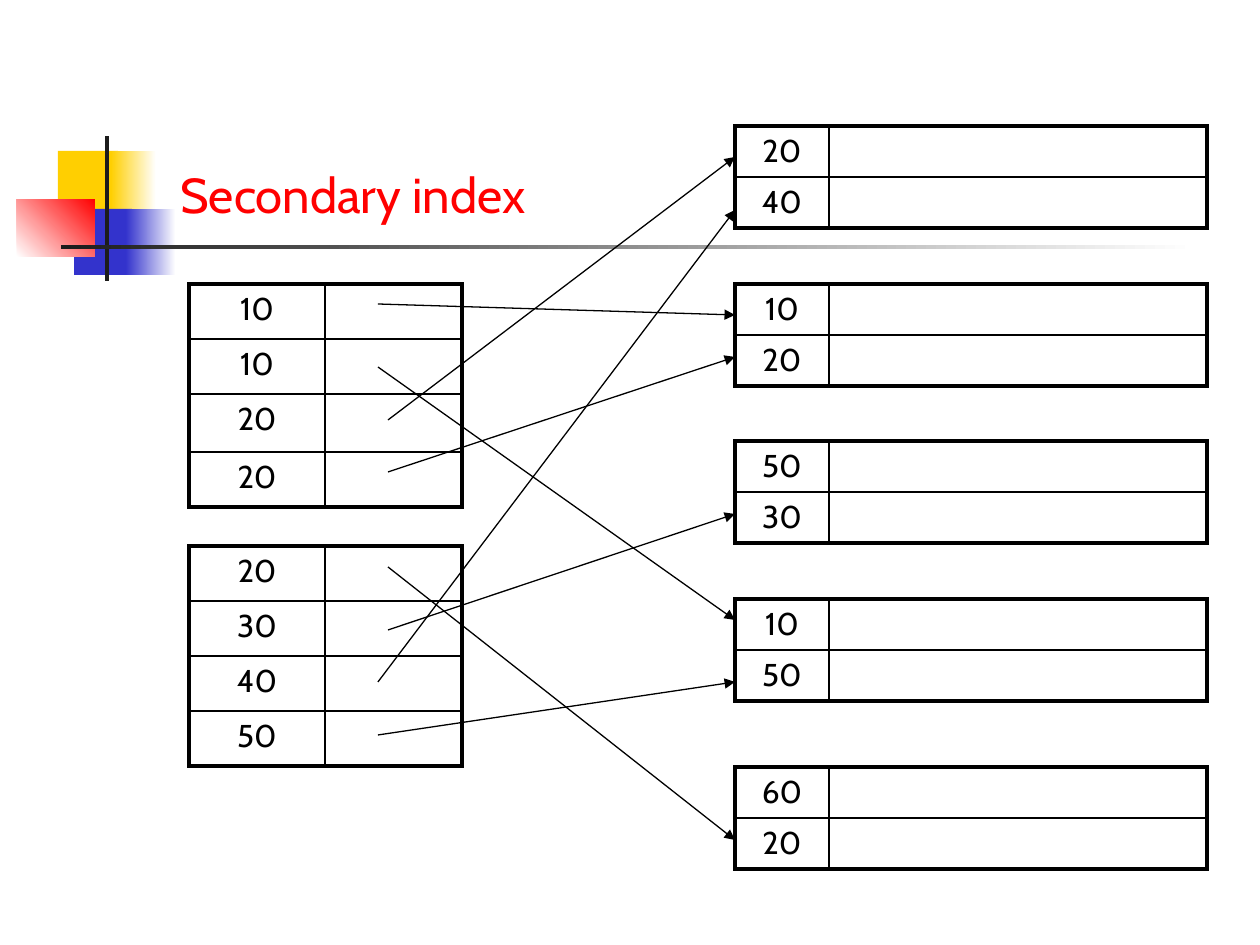
from dataclasses import dataclass

from lxml import etree
from pptx import Presentation
from pptx import util as u
from pptx.dml.color import RGBColor
from pptx.enum import shapes, text
from pptx.oxml.ns import qn

EMU_PER_PX = 914400 // 126


@dataclass(frozen=True)
class Theme:
    font: str = "Cabin"
    title_size: float = 28
    cell_size: float = 18
    outer_line: float = 2.25
    inner_line: float = 1
    arrow_line: float = 0.75
    black: str = "000000"
    white: str = "FFFFFF"
    red: str = "FF0000"
    yellow: str = "FFCF01"
    blue: str = "3333CC"
    charcoal: str = "1C1C1C"


THEME = Theme()


@dataclass(frozen=True)
class Block:
    left: int
    top: int
    width: int
    height: int
    color: str
    fade_to: str = ""
    angle: int = 0


@dataclass(frozen=True)
class Bucket:
    left: int
    top: int
    columns: tuple[int, ...]
    rows: tuple[int, ...]
    keys: tuple[int, ...]


@dataclass(frozen=True)
class Pointer:
    x: int
    y: int
    target_y: int


def px(value: int) -> u.Emu:
    return u.Emu(value * EMU_PER_PX)


def rgb(color: str) -> RGBColor:
    return RGBColor.from_string(color)


def write(frame, words: str, *, size: float, color: str = THEME.black,
          align=text.PP_ALIGN.LEFT) -> None:
    paragraph = frame.paragraphs[0]
    paragraph.alignment = align
    run = paragraph.add_run()
    run.text = words
    run.font.name = THEME.font
    run.font.size = u.Pt(size)
    run.font.color.rgb = rgb(color)


def draw_block(slide, block: Block) -> None:
    shape = slide.shapes.add_shape(
        shapes.MSO_SHAPE.RECTANGLE,
        *map(px, (block.left, block.top, block.width, block.height)))
    shape.shadow.inherit = False
    shape.line.fill.background()
    if block.fade_to:
        shape.fill.gradient()
        shape.fill.gradient_angle = block.angle
        for stop, color in zip(shape.fill.gradient_stops, (block.color, block.fade_to)):
            stop.color.rgb = rgb(color)
    else:
        shape.fill.solid()
        shape.fill.fore_color.rgb = rgb(block.color)


def set_borders(cell, outer: dict[str, bool]) -> None:
    properties = cell._tc.get_or_add_tcPr()
    for index, (side, is_outer) in enumerate(outer.items()):
        width = THEME.outer_line if is_outer else THEME.inner_line
        border = etree.Element(qn(f"a:ln{side}"), w=str(int(u.Pt(width))))
        fill = etree.SubElement(border, qn("a:solidFill"))
        etree.SubElement(fill, qn("a:srgbClr"), val=THEME.black)
        properties.insert(index, border)


def draw_bucket(slide, bucket: Bucket) -> None:
    row_count, column_count = len(bucket.rows), len(bucket.columns)
    table = slide.shapes.add_table(
        row_count, column_count, px(bucket.left), px(bucket.top),
        px(sum(bucket.columns)), px(sum(bucket.rows))).table
    table.first_row = table.horz_banding = False
    for column, width in zip(table.columns, bucket.columns):
        column.width = px(width)
    for r, (row, height, key) in enumerate(zip(table.rows, bucket.rows, bucket.keys)):
        row.height = px(height)
        write(row.cells[0].text_frame, str(key), size=THEME.cell_size,
              align=text.PP_ALIGN.CENTER)
        for c, cell in enumerate(row.cells):
            cell.fill.background()
            set_borders(cell, {"L": c == 0, "R": c == column_count - 1,
                               "T": r == 0, "B": r == row_count - 1})


def draw_pointer(slide, pointer: Pointer, target_x: int) -> None:
    arrow = slide.shapes.add_connector(
        shapes.MSO_CONNECTOR.STRAIGHT,
        *map(px, (pointer.x, pointer.y, target_x, pointer.target_y)))
    arrow.line.color.rgb = rgb(THEME.black)
    arrow.line.width = u.Pt(THEME.arrow_line)
    etree.SubElement(arrow.line._get_or_add_ln(), qn("a:tailEnd"), type="triangle")
    etree.SubElement(arrow._element.spPr, qn("a:effectLst"))


# Corner ornament and title rule
ORNAMENT = (
    Block(58, 151, 60, 66, THEME.yellow),
    Block(111, 151, 45, 66, THEME.yellow, THEME.white),
    Block(74, 209, 58, 66, THEME.blue),
    Block(126, 209, 50, 66, THEME.blue, THEME.white),
    Block(17, 199, 78, 58, THEME.white, THEME.red, angle=45),
    Block(105, 136, 4, 145, THEME.charcoal),
    Block(61, 245, 1134, 4, THEME.charcoal, THEME.white),
)

# Index on the left, records on the right
RECORD_LEFT = 735
INDEX_COLUMNS = (136, 137)
RECORD_COLUMNS = (94, 378)
INDEX = (
    Bucket(189, 284, INDEX_COLUMNS, (55, 55, 58, 55), (10, 10, 20, 20)),
    Bucket(189, 546, INDEX_COLUMNS, (55,) * 4, (20, 30, 40, 50)),
)
RECORDS = tuple(
    Bucket(RECORD_LEFT, top, RECORD_COLUMNS, (50, 50), keys)
    for top, keys in ((126, (20, 40)), (284, (10, 20)), (441, (50, 30)),
                      (599, (10, 50)), (767, (60, 20))))

# One pointer per index entry, top to bottom
POINTERS = (
    Pointer(378, 304, 315), Pointer(378, 367, 620),
    Pointer(388, 420, 157), Pointer(388, 472, 357),
    Pointer(388, 567, 840), Pointer(388, 630, 514),
    Pointer(378, 682, 210), Pointer(378, 735, 682),
)


def main() -> None:
    deck = Presentation()
    deck.slide_width, deck.slide_height = px(1260), px(945)
    slide = deck.slides.add_slide(deck.slide_layouts[6])
    for block in ORNAMENT:
        draw_block(slide, block)
    for bucket in INDEX + RECORDS:
        draw_bucket(slide, bucket)
    for pointer in POINTERS:
        draw_pointer(slide, pointer, RECORD_LEFT)

    # Title
    title = slide.shapes.add_textbox(*map(px, (168, 158, 472, 72))).text_frame
    title.word_wrap = True
    write(title, "Secondary index", size=THEME.title_size, color=THEME.red)
    deck.save("out.pptx")


main()
